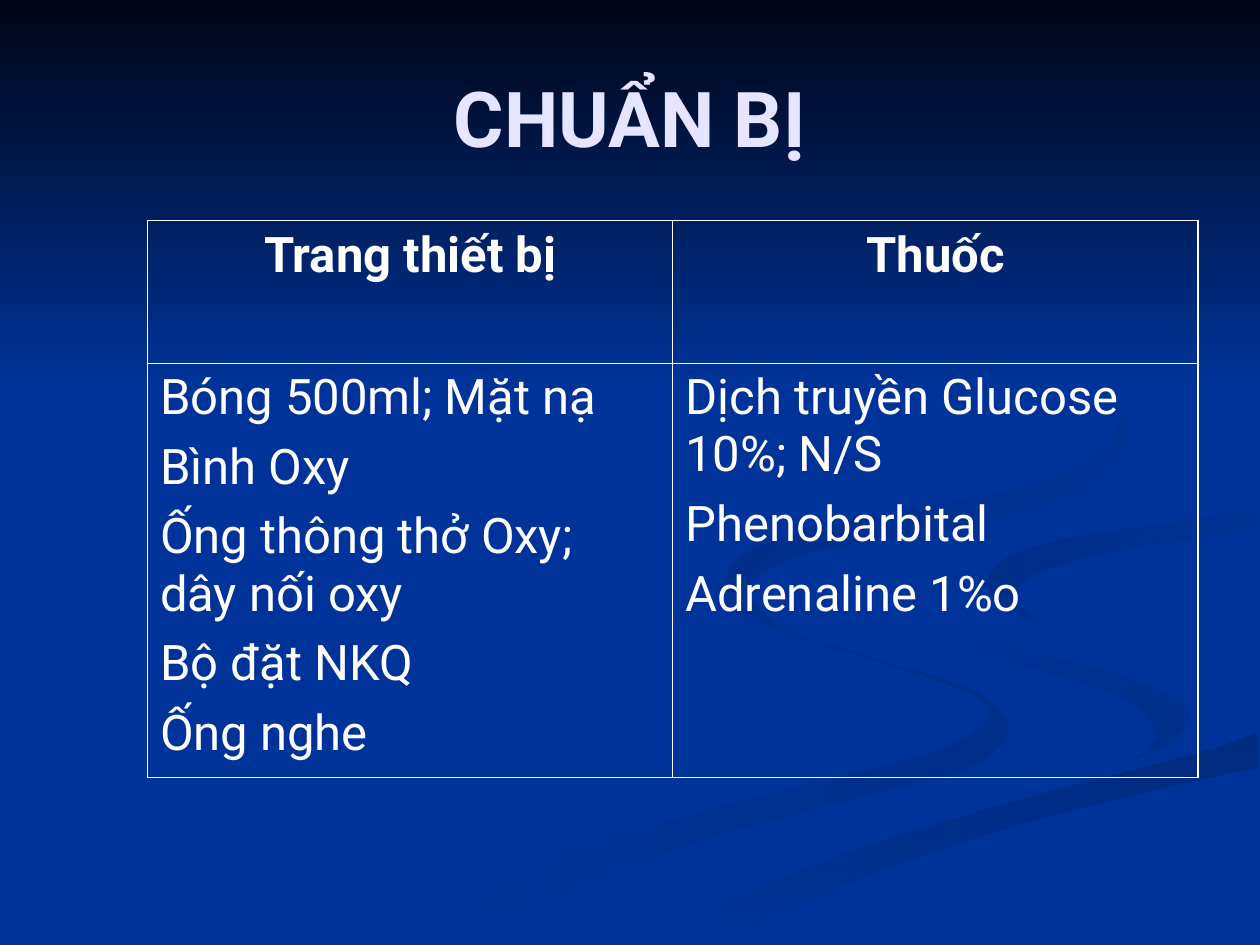
from lxml import etree
from pptx import Presentation
from pptx.dml.color import RGBColor
from pptx.enum import shapes, text
from pptx.oxml import ns
from pptx.util import Inches, Pt

COLORS = {
    "background": "003399",
    "night": "000514",
    "shade": "002E8B",
    "deep shade": "002A7D",
    "edge shade": "002D86",
    "upper shade": "002B82",
    "title": "E5E5FF",
    "text": "FFFFFF",
    "border": "FFFFFF",
}
FONT = "Roboto"
TITLE = "CHUẨN BỊ"
TABLE = {
    "Trang thiết bị": ["Bóng 500ml; Mặt nạ", "Bình Oxy", "Ống thông thở Oxy; dây nối oxy",
                       "Bộ đặt NKQ", "Ống nghe"],
    "Thuốc": ["Dịch truyền Glucose 10%; N/S", "Phenobarbital", "Adrenaline 1%o"],
}
TABLE_LEFT, TABLE_TOP = 1.17, 1.75
COLUMN_WIDTH = 4.17
ROW_HEIGHTS = [1.13, 3.29]
OUTER_LINE, INNER_LINE = 1.08, 0.45

SLIDE_WIDTH, SLIDE_HEIGHT = 10, 7.5
SKY_HEIGHT = 3.08
CURVE_STEPS = 5
UNITS_PER_INCH = 1000

CURVES = {
    "left outer": [(5.75, 4.59), (5.83, 4.77), (6.14, 4.96), (6.82, 5.19), (7.45, 5.38), (7.81, 5.53),
                   (8, 5.81), (7.69, 6.09), (6.76, 6.34), (5.64, 6.65), (4.66, 7), (3.61, 7.49)],
    "left inner": [(3, 7.49), (4.17, 6.9), (5.39, 6.49), (6.84, 6.13), (7.59, 5.9), (7.86, 5.66),
                   (7.62, 5.47), (6.97, 5.25), (6.31, 5.05), (5.86, 4.87), (5.7, 4.7), (5.75, 4.59)],
    "right outer": [(7.24, 4.64), (7.33, 4.83), (7.58, 4.98), (8.11, 5.15), (8.88, 5.35), (9.3, 5.53),
                    (9.43, 5.7), (9.32, 5.89)],
    "right inner": [(8.94, 6.05), (9.07, 5.97), (9.18, 5.81), (8.92, 5.53), (8.38, 5.36),
                    (7.66, 5.12), (7.33, 4.88), (7.24, 4.64)],
    "middle sweep": [(9.32, 5.89), (9.19, 5.97), (8.43, 6.18), (7.43, 6.43), (6.19, 6.84), (4.77, 7.49)],
    "lower top": [(5.03, 7.49), (5.19, 7.47), (5.69, 7.19), (6.3, 6.93), (6.96, 6.69), (7.97, 6.38),
                  (9.03, 6.1), (9.63, 5.94), (9.98, 5.81)],
    "lower bottom": [(9.98, 6.09), (9.03, 6.3), (7.85, 6.61), (6.95, 6.92), (6.14, 7.26), (5.71, 7.49)],
    "plain bend": [(9.98, 5.38), (9.41, 5.27), (8.66, 5.09), (8.04, 4.85), (7.81, 4.63)],
    "edge outer": [(7.81, 4.63), (8, 4.42), (8.5, 4.27), (9.33, 4.15), (9.98, 4.02)],
    "edge inner": [(9.98, 4.2), (8.96, 4.35), (8.28, 4.53), (8.05, 4.74), (8.26, 4.96), (7.91, 4.78)],
    "plain top": [(9.98, 3.87), (9.2, 4.01), (8.3, 4.15), (7.55, 4.32), (7.27, 4.54), (7.24, 4.64)],
    "upper outer": [(7.62, 2.33), (7.99, 2.5), (8.43, 2.75), (8.8, 3.07), (8.94, 3.44), (8.76, 3.78),
                    (8.25, 4.02), (7.64, 4.17), (6.83, 4.3), (6.24, 4.44), (5.93, 4.7), (6.22, 5)],
    "upper inner": [(6.22, 5), (5.8, 4.74), (5.84, 4.46), (6.25, 4.26), (7.04, 4.09), (7.91, 3.92),
                    (8.52, 3.74), (8.86, 3.48), (8.82, 3.13), (8.55, 2.85), (8.05, 2.54), (7.62, 2.33)],
}
RIBBONS = [
    (["left outer", "left inner"], ["background", "shade"], 0),
    (["right outer", "right inner"], ["background", "shade"], 45),
    (["lower top", "lower bottom"], ["deep shade", "background"], 90),
    (["right outer", "middle sweep", "lower top", "plain bend", "edge outer", "plain top"],
     ["background"], 0),
    (["edge outer", "edge inner"], ["edge shade", "background"], 45),
    (["upper outer", "upper inner"], ["upper shade", "background"], 45),
]


def rgb(name):
    return RGBColor.from_string(COLORS[name])


def smooth(points):
    """Return points along a Catmull-Rom curve through the given points."""
    padded = [points[0], *points, points[-1]]
    curve = [points[0]]
    for before, start, end, after in zip(padded, padded[1:], padded[2:], padded[3:]):
        for step in range(1, CURVE_STEPS + 1):
            t = step / CURVE_STEPS
            curve.append(tuple(
                (2 * b + (c - a) * t + (2 * a - 5 * b + 4 * c - d) * t ** 2
                 + (3 * b - a - 3 * c + d) * t ** 3) / 2
                for a, b, c, d in zip(before, start, end, after)))
    return curve


def paint(shape, color_names, angle):
    shape.shadow.inherit = False
    shape.line.fill.background()
    if len(color_names) == 1:
        shape.fill.solid()
        shape.fill.fore_color.rgb = rgb(color_names[0])
        return
    shape.fill.gradient()
    shape.fill.gradient_angle = (360 - angle) % 360
    for position, (stop, name) in enumerate(zip(shape.fill.gradient_stops, color_names)):
        stop.color.rgb = rgb(name)
        stop.position = position


def add_ribbon(slide, curve_names, color_names, angle):
    outline = [(x * UNITS_PER_INCH, y * UNITS_PER_INCH)
               for name in curve_names for x, y in smooth(CURVES[name])]
    builder = slide.shapes.build_freeform(*outline[0], scale=Inches(1) / UNITS_PER_INCH)
    builder.add_line_segments(outline[1:], close=True)
    paint(builder.convert_to_shape(), color_names, angle)


def add_backdrop(slide):
    slide.background.fill.solid()
    slide.background.fill.fore_color.rgb = rgb("background")
    for ribbon in RIBBONS:
        add_ribbon(slide, *ribbon)
    sky = slide.shapes.add_shape(
        shapes.MSO_SHAPE.RECTANGLE, 0, 0, Inches(SLIDE_WIDTH), Inches(SKY_HEIGHT))
    paint(sky, ["night", "background"], 90)


def write(frame, lines, size, color_name, bold, alignment):
    frame.word_wrap = True
    frame.text = "\n".join(lines)
    for index, paragraph in enumerate(frame.paragraphs):
        paragraph.alignment = alignment
        paragraph.space_before = Pt(7 if index else 0)
        for run in paragraph.runs:
            run.font.name = FONT
            run.font.size = Pt(size)
            run.font.bold = bold
            run.font.color.rgb = rgb(color_name)


def add_title(slide):
    title = slide.shapes.add_textbox(Inches(0.5), Inches(0.3), Inches(9), Inches(1.25))
    title.text_frame.vertical_anchor = text.MSO_ANCHOR.MIDDLE
    write(title.text_frame, [TITLE], 44, "title", True, text.PP_ALIGN.CENTER)


def set_borders(cell, outer_sides):
    properties = cell._tc.get_or_add_tcPr()
    for position, (side, is_outer) in enumerate(outer_sides.items()):
        width = Pt(OUTER_LINE if is_outer else INNER_LINE)
        line = etree.Element(ns.qn(f"a:{side}"), w=str(width))
        fill = etree.SubElement(line, ns.qn("a:solidFill"))
        etree.SubElement(fill, ns.qn("a:srgbClr"), val=COLORS["border"])
        properties.insert(position, line)


def add_equipment_table(slide):
    rows = [[[header] for header in TABLE], list(TABLE.values())]
    last_row, last_column = len(rows) - 1, len(TABLE) - 1
    table = slide.shapes.add_table(
        len(rows), len(TABLE), Inches(TABLE_LEFT), Inches(TABLE_TOP),
        Inches(COLUMN_WIDTH * len(TABLE)), Inches(sum(ROW_HEIGHTS))).table
    for column in table.columns:
        column.width = Inches(COLUMN_WIDTH)
    for i, row in enumerate(rows):
        table.rows[i].height = Inches(ROW_HEIGHTS[i])
        is_header = i == 0
        alignment = text.PP_ALIGN.CENTER if is_header else text.PP_ALIGN.LEFT
        for j, lines in enumerate(row):
            cell = table.cell(i, j)
            cell.fill.background()
            write(cell.text_frame, lines, 28, "text", is_header, alignment)
            set_borders(cell, {"lnL": j == 0, "lnR": j == last_column,
                               "lnT": i == 0, "lnB": i == last_row})


def main():
    presentation = Presentation()
    presentation.slide_width = Inches(SLIDE_WIDTH)
    presentation.slide_height = Inches(SLIDE_HEIGHT)
    slide = presentation.slides.add_slide(presentation.slide_layouts[6])
    add_backdrop(slide)
    add_title(slide)
    add_equipment_table(slide)
    presentation.save("out.pptx")


if __name__ == "__main__":
    main()
